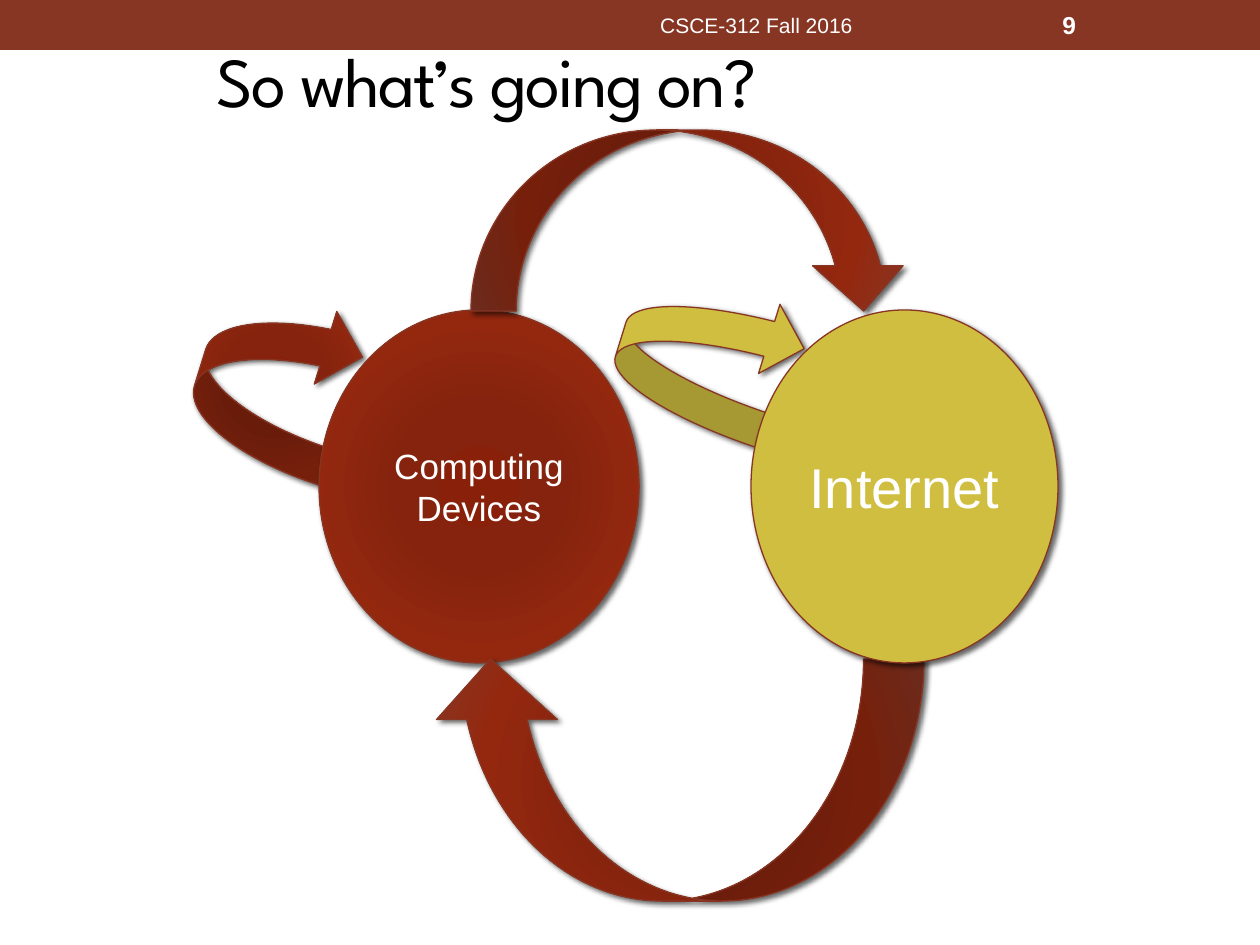
from lxml import etree
from pptx import Presentation, util as u
from pptx.dml.color import RGBColor
from pptx.enum import shapes, text
from pptx.oxml import parse_xml
from pptx.oxml.ns import qn, nsdecls

SIZE = (1260, 945)
BAR = (0, 0, 1260, 50)
RED, GOLD, WHITE = "873624", "D0BE40", "FFFFFF"
STOPS = [(0, "89210A"), (34, "85230E"), (70, "94280F"), (100, RED)]
ARROW = shapes.MSO_SHAPE.CURVED_DOWN_ARROW
OVAL = shapes.MSO_SHAPE.OVAL
PARTS = [
    (ARROW, (636, 268, 145, 178), 287.2, GOLD, "", 0),
    (ARROW, (189, 305, 173, 152), 287.2, STOPS, "", 0),
    (OVAL, (319, 310, 320, 353), 0, STOPS, "Computing Devices", 20),
    (ARROW, (471, 130, 438, 181), 0, STOPS, "", 0),
    (ARROW, (430, 659, 494, 242), 180, STOPS, "", 0),
    (OVAL, (751, 310, 307, 353), 0, GOLD, "Internet", 32),
]
TITLE = ("So what’s going on?", (204, 16, 850, 127))
LABELS = [
    ("CSCE-312 Fall 2016", (473, 2, 567, 46), 12, False, text.PP_ALIGN.CENTER),
    ("9", (1050, 2, 147, 46), 14, True, text.PP_ALIGN.LEFT),
]


def px(n):
    return round(n * 914400 / 126)


def rgb(code):
    return RGBColor.from_string(code)


def write(shape, words, size, color=WHITE, face="Arial", bold=False,
          align=text.PP_ALIGN.CENTER):
    frame = shape.text_frame
    frame.word_wrap = True
    frame.vertical_anchor = text.MSO_ANCHOR.MIDDLE
    frame.text = words
    para = frame.paragraphs[0]
    para.alignment = align
    run = para.runs[0]
    run.font.size = u.Pt(size)
    run.font.name = face
    run.font.bold = bold
    run.font.color.rgb = rgb(color)
    return run


def shade(shape, stops):
    shape.fill.gradient()
    props = shape._element.spPr
    marks = "".join(f'<a:gs pos="{at * 1000}"><a:srgbClr val="{code}"/></a:gs>'
                    for at, code in stops)
    grad = parse_xml(
        f'<a:gradFill {nsdecls("a")} rotWithShape="1"><a:gsLst>{marks}</a:gsLst>'
        '<a:path path="circle"><a:fillToRect l="100000" t="100000" '
        'r="100000" b="100000"/></a:path></a:gradFill>')
    props.replace(props.find(qn("a:gradFill")), grad)


def drop(shape):
    shape.shadow.inherit = False
    glow = etree.SubElement(
        shape._element.spPr.find(qn("a:effectLst")), qn("a:outerShdw"),
        blurRad=str(u.Pt(3)), dist=str(u.Pt(2)), dir="2700000",
        algn="tl", rotWithShape="0")
    tint = etree.SubElement(glow, qn("a:srgbClr"), val="000000")
    etree.SubElement(tint, qn("a:alpha"), val="60000")


def main():
    deck = Presentation()
    deck.slide_width, deck.slide_height = map(px, SIZE)
    slide = deck.slides.add_slide(deck.slide_layouts[5])
    tree = slide.shapes

    bar = tree.add_shape(shapes.MSO_SHAPE.RECTANGLE, *map(px, BAR))
    bar.shadow.inherit = False
    bar.fill.solid()
    bar.fill.fore_color.rgb = rgb(RED)
    bar.line.fill.background()

    for kind, box, turn, fill, words, size in PARTS:
        part = tree.add_shape(kind, *map(px, box))
        part.rotation = turn
        if fill is STOPS:
            shade(part, fill)
        else:
            part.fill.solid()
            part.fill.fore_color.rgb = rgb(fill)
        part.line.color.rgb = rgb(RED)
        part.line.width = u.Pt(0.75)
        drop(part)
        if words:
            write(part, words, size)

    words, box = TITLE
    head = tree.title
    head.left, head.top, head.width, head.height = map(px, box)
    run = write(head, words, 40, "000000", "League Spartan",
                align=text.PP_ALIGN.LEFT)
    run.font._element.set("spc", "-100")
    tree._spTree.append(head._element)

    for words, box, size, bold, align in LABELS:
        label = tree.add_textbox(*map(px, box))
        write(label, words, size, bold=bold, align=align)

    deck.save("out.pptx")


if __name__ == "__main__":
    main()
